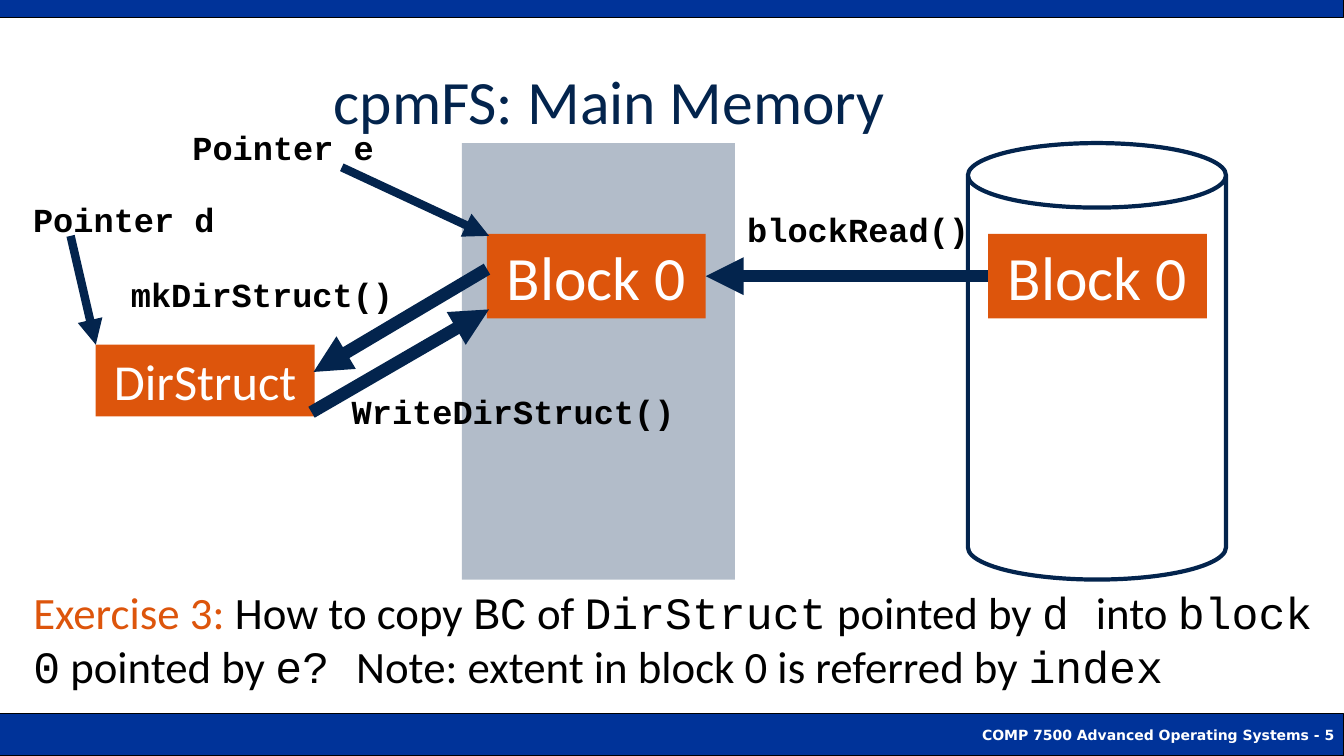
from pptx import Presentation
from pptx.dml.color import RGBColor
from pptx.enum.shapes import MSO_CONNECTOR as CONN, MSO_SHAPE as SHAPE
from pptx.enum.text import MSO_ANCHOR as ANCHOR, MSO_AUTO_SIZE as AUTO, PP_ALIGN as ALIGN
from pptx.oxml.ns import qn
from pptx.util import Inches, Pt
from lxml.etree import SubElement

NAVY = RGBColor(0x03, 0x24, 0x4D)
ORANGE = RGBColor(0xDD, 0x55, 0x0C)
BLUE = RGBColor(0x00, 0x33, 0x99)
WHITE = RGBColor(0xFF, 0xFF, 0xFF)
BLACK = RGBColor(0x00, 0x00, 0x00)

SANS, MONO, FOOTER = "Calibri", "Courier New", "DejaVu Sans"

# Grid of quarter-inch cells
CELL = 0.25
COLS, ROWS = 53.32, 30


def grid(*cells):
    return [Inches(c * CELL) for c in cells]


class Diagram:
    """Draws styled elements on one slide; positions are in grid cells."""

    def __init__(self, prs):
        self.slide = prs.slides.add_slide(prs.slide_layouts[1])
        self.shapes = self.slide.shapes

    def style(self, r, size, font=SANS, color=BLACK, bold=False):
        r.font.size, r.font.name, r.font.bold = Pt(size), font, bold
        r.font.color.rgb = color

    def set_text(self, sp, text, size, font=SANS, color=WHITE, bold=False,
                 align=ALIGN.LEFT, anchor=ANCHOR.TOP):
        tf = sp.text_frame
        tf.text = text
        tf.word_wrap, tf.auto_size, tf.vertical_anchor = True, AUTO.NONE, anchor
        p = tf.paragraphs[0]
        p.alignment = align
        self.style(p.runs[0], size, font, color, bold)

    def place(self, sp, x, y, w, h):
        sp.left, sp.top, sp.width, sp.height = grid(x, y, w, h)
        return sp

    def shape(self, kind, x, y, w, h, fill=None, line=None, weight=0.75, alpha=None):
        sp = self.shapes.add_shape(kind, *grid(x, y, w, h))
        sp.shadow.inherit = False
        if fill is None:
            sp.fill.background()
        else:
            sp.fill.solid()
            sp.fill.fore_color.rgb = fill
        if alpha is not None:
            color = sp._element.spPr.find(qn("a:solidFill"))[0]
            SubElement(color, qn("a:alpha")).set("val", str(alpha * 1000))
        if line is None:
            sp.line.fill.background()
        else:
            sp.line.color.rgb, sp.line.width = line, Pt(weight)
        return sp

    def bar(self, y, h):
        return self.shape(SHAPE.RECTANGLE, 0, y, COLS, h, BLUE, BLACK)

    def block(self, text, x, y, h, size):
        sp = self.shape(SHAPE.RECTANGLE, x, y, 8.68, h, ORANGE)
        self.set_text(sp, text, size, align=ALIGN.CENTER)
        return sp

    def label(self, text, x, y, w, align=ALIGN.LEFT):
        sp = self.shapes.add_textbox(*grid(x, y, w, 2))
        self.set_text(sp, text, 24, MONO, BLACK, True, align)

    def arrow(self, x1, y1, x2, y2, weight):
        c = self.shapes.add_connector(CONN.STRAIGHT, *grid(x1, y1, x2, y2))
        c.line.color.rgb, c.line.width = NAVY, Pt(weight)
        spPr = c._element.spPr
        SubElement(spPr.find(qn("a:ln")), qn("a:tailEnd")).set("type", "triangle")
        SubElement(spPr, qn("a:effectLst"))
        return c

    def title(self, text, *box):
        sp = self.place(self.shapes.title, *box)
        self.set_text(sp, text, 44, color=NAVY)

    def body(self, runs, *box):
        tf = self.place(self.slide.placeholders[1], *box).text_frame
        tf.word_wrap, tf.auto_size = True, AUTO.NONE
        p = tf.paragraphs[0]
        pPr = p._p.get_or_add_pPr()
        pPr.set("marL", "0")
        pPr.set("indent", "0")
        SubElement(pPr, qn("a:buNone"))
        p.space_before = Pt(0)
        for text, font, color in runs:
            r = p.add_run()
            r.text = text
            self.style(r, 32, font, color)


def main():
    prs = Presentation()
    prs.slide_width, prs.slide_height = grid(COLS, ROWS)
    d = Diagram(prs)

    # Bars and footer
    footer = d.bar(28.32, 1.68)
    d.set_text(footer, "COMP 7500 Advanced Operating Systems - 5", 10, FOOTER,
               bold=True, align=ALIGN.RIGHT, anchor=ANCHOR.MIDDLE)
    d.bar(0, 0.68)

    # Title
    d.title("cpmFS: Main Memory", 12.84, 2.28, 23, 3.36)

    # Disk, main memory and their blocks
    d.shape(SHAPE.CAN, 38.4, 5.68, 10.24, 17.32, line=NAVY, weight=3)
    d.shape(SHAPE.RECTANGLE, 18.32, 5.68, 10.84, 17.32, NAVY, alpha=30)
    disk_block, memory_block = [d.block("Block 0", x, 9.28, 3.36, 44)
                                for x in (39.2, 19.32)]
    d.block("DirStruct", 3.8, 13.68, 2.84, 36)

    # Arrows
    read_arrow = d.arrow(39.2, 10.96, 28, 10.96, 9)
    read_arrow.begin_connect(disk_block, 1)
    read_arrow.end_connect(memory_block, 3)
    for ends in ((13.56, 6.64, 19.4, 9.36, 6),     # pointer e
                 (2.8, 9.36, 3.8, 13.68, 6),       # pointer d
                 (19.32, 10.68, 12.44, 14.76, 9),  # mkDirStruct
                 (12.36, 16.36, 19.4, 12.28, 9)):  # WriteDirStruct
        d.arrow(*ends)

    # Labels
    d.label("blockRead()", 28.64, 8.08, 10.2, ALIGN.RIGHT)
    d.label("Pointer e", 7.24, 4.84, 8)
    d.label("Pointer d", 0.92, 7.68, 8)
    d.label("mkDirStruct()", 4.8, 10.68, 12)
    d.label("WriteDirStruct()", 13.56, 15.32, 15.6)

    # Exercise
    d.body([("Exercise 3: ", SANS, ORANGE), ("How to copy ", SANS, BLACK),
            ("BC", MONO, BLACK), (" of ", SANS, BLACK),
            ("DirStruct", MONO, BLACK), (" pointed by ", SANS, BLACK),
            ("d ", MONO, BLACK), ("into ", SANS, BLACK),
            ("block 0", MONO, BLACK), (" pointed by ", SANS, BLACK),
            ("e? ", MONO, BLACK),
            ("Note: extent in block 0 is referred by ", SANS, BLACK),
            ("index", MONO, BLACK)],
           0.92, 23, 52.4, 5.28)

    prs.save("out.pptx")


if __name__ == "__main__":
    main()
